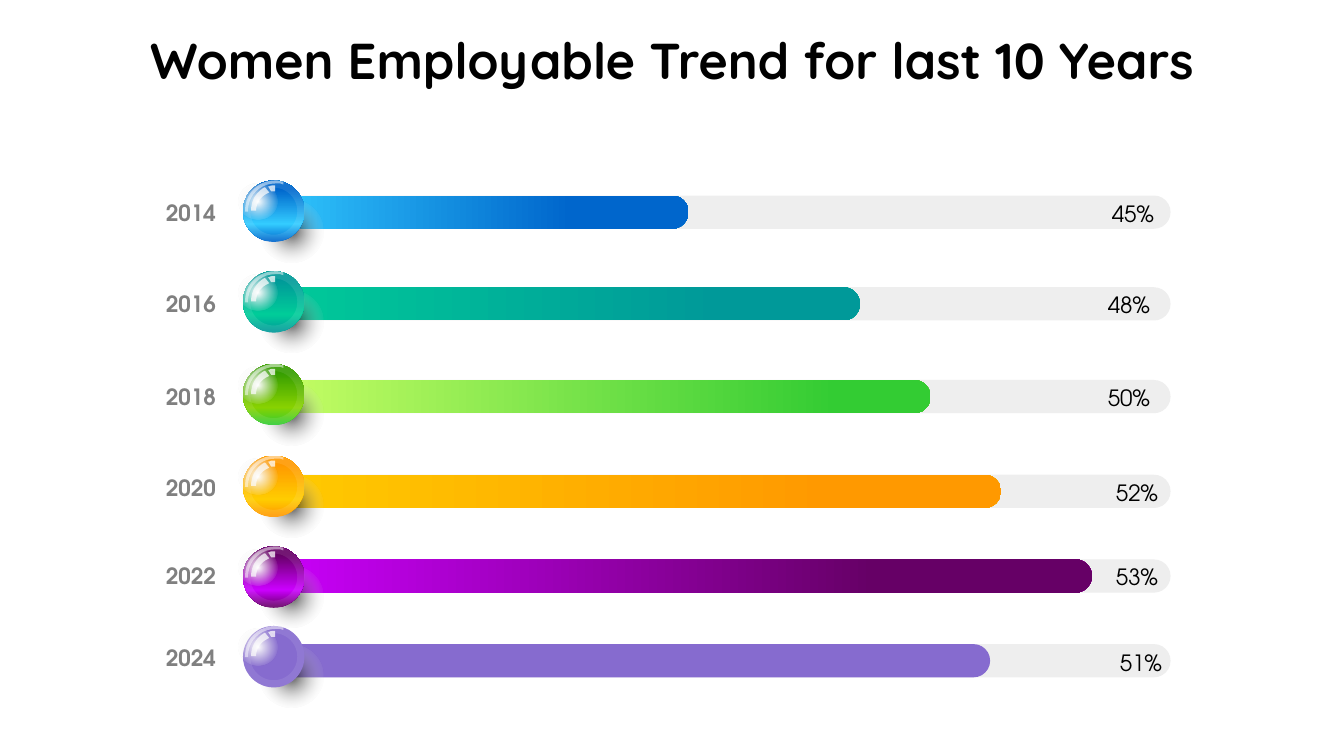
from collections import namedtuple

from lxml import etree
from pptx import Presentation
from pptx.dml.color import RGBColor
from pptx.enum.shapes import MSO_SHAPE as Preset
from pptx.enum.text import MSO_AUTO_SIZE as AutoSize, PP_ALIGN as Align
from pptx.oxml.ns import qn
from pptx.util import Inches, Pt

Year = namedtuple(
    "Year", "name share bar_width bar_top ball_top name_top share_left share_top bar_fill ball_fill"
)
Gradient = namedtuple("Gradient", "stops angle")


def horizontal(start, end, stop):
    return Gradient([(0, start, 100), (stop, end, 100)], 0)


def glossy(low, middle, high):
    return Gradient([(1, low, 100), (29, middle, 100), (86, high, 100)], 270)


def radial(color, alpha):
    return Gradient([(0, color, alpha), (77, "EEEEEE", 0)], None)


YEARS = [
    Year("2014", "45%", 4.3, 1.94, 1.79, 1.93, 10.93, 1.94,
         horizontal("33CCFF", "0066CC", 73), glossy("0066CC", "33CCFF", "0066CC")),
    Year("2016", "48%", 6, 2.85, 2.69, 2.83, 10.89, 2.84,
         horizontal("00CC99", "009999", 77), glossy("009999", "00CC99", "009999")),
    Year("2018", "50%", 6.7, 3.77, 3.61, 3.75, 10.89, 3.76,
         horizontal("CCFF66", "33CC33", 86), glossy("33CC33", "88D201", "359D01")),
    Year("2020", "52%", 7.4, 4.71, 4.52, 4.65, 10.97, 4.7,
         horizontal("FFCC00", "FF9900", 77), glossy("FF9900", "FFCC00", "FF9900")),
    Year("2022", "53%", 8.3, 5.55, 5.42, 5.53, 10.97, 5.54,
         horizontal("CC00FF", "660066", 74), glossy("660066", "CC00FF", "660066")),
    Year("2024", "51%", 7.29, 6.39, 6.21, 6.34, 11.01, 6.39, "866BCF", "866BCF"),
]

BALL_LEFT = 2.41
BALL_SIZE = 0.61
TICK = [(0.32, 0.05), (0.32, 0.11), (0.31, 0.11), (0.28, 0.11), (0.25, 0.06),
        (0.26, 0.06), (0.27, 0.05, 0.29, 0.05, 0.3, 0.05)]
WINDOW = [(0.22, 0.07), (0.26, 0.12), (0.24, 0.13), (0.18, 0.16, 0.13, 0.22, 0.13, 0.3),
          (0.08, 0.3), (0.08, 0.2, 0.13, 0.12, 0.21, 0.07)]
RIM = [(0.32, 0), (0.34, 0, 0.36, 0, 0.38, 0.01), (0.4, 0.01), (0.4, 0.04), (0.37, 0.03),
       (0.35, 0.03, 0.33, 0.03, 0.32, 0.03), (0.17, 0.03, 0.05, 0.15, 0.05, 0.3),
       (0.05, 0.31), (0.02, 0.31), (0.02, 0.3), (0.02, 0.13, 0.15, 0, 0.32, 0)]


def rgb(color):
    return RGBColor.from_string(color)


def flatten(outline, steps=10):
    points = []
    for segment in outline:
        if len(segment) == 2:
            points.append(segment)
            continue
        controls = [points[-1], segment[:2], segment[2:4], segment[4:]]
        for step in range(1, steps + 1):
            t = step / steps
            weights = ((1 - t) ** 3, 3 * t * (1 - t) ** 2, 3 * t * t * (1 - t), t ** 3)
            points.append(tuple(
                sum(weight * control[axis] for weight, control in zip(weights, controls))
                for axis in (0, 1)
            ))
    return points


class TrendSlide:
    title_font = "Quicksand"
    body_font = "TeX Gyre Adventor"
    track_color = "EEEEEE"
    name_color = "808080"

    def __init__(self, presentation):
        self.slide = presentation.slides.add_slide(presentation.slide_layouts[6])
        self.shapes = self.slide.shapes

    def text(self, text, left, top, width, height, font=body_font, size=16,
             color="000000", bold=False, align=Align.LEFT):
        box = self.shapes.add_textbox(Inches(left), Inches(top), Inches(width), Inches(height))
        box.text_frame.word_wrap = True
        box.text_frame.auto_size = AutoSize.SHAPE_TO_FIT_TEXT
        paragraph = box.text_frame.paragraphs[0]
        paragraph.alignment = align
        run = paragraph.add_run()
        run.text = text
        run.font.name = font
        run.font.size = Pt(size)
        run.font.bold = bold
        run.font.color.rgb = rgb(color)

    def paint(self, shape, fill, alpha=100):
        shape.shadow.inherit = False
        shape.line.fill.background()
        if isinstance(fill, Gradient):
            self.paint_gradient(shape, fill)
            return
        shape.fill.solid()
        shape.fill.fore_color.rgb = rgb(fill)
        if alpha < 100:
            color = shape.fill._xPr.find(qn("a:solidFill"))[0]
            etree.SubElement(color, qn("a:alpha"), val=str(alpha * 1000))

    def paint_gradient(self, shape, gradient):
        shape.fill.gradient()
        element = shape.fill._xPr.find(qn("a:gradFill"))
        for child in list(element):
            element.remove(child)
        stops = etree.SubElement(element, qn("a:gsLst"))
        for position, color, alpha in gradient.stops:
            stop = etree.SubElement(stops, qn("a:gs"), pos=str(position * 1000))
            value = etree.SubElement(stop, qn("a:srgbClr"), val=color)
            if alpha < 100:
                etree.SubElement(value, qn("a:alpha"), val=str(alpha * 1000))
        if gradient.angle is None:
            circle = etree.SubElement(element, qn("a:path"), path="circle")
            etree.SubElement(circle, qn("a:fillToRect"), l="50000", t="50000", r="50000", b="50000")
        else:
            etree.SubElement(element, qn("a:lin"), ang=str(gradient.angle * 60000), scaled="0")

    def preset(self, kind, left, top, width, height, fill, alpha=100, adjustment=None):
        shape = self.shapes.add_shape(
            kind, Inches(left), Inches(top), Inches(width), Inches(height)
        )
        if adjustment is not None:
            shape.adjustments[0] = adjustment
        self.paint(shape, fill, alpha)

    def glint(self, outline, top, alpha):
        points = [(Inches(BALL_LEFT + x), Inches(top + y)) for x, y in flatten(outline)]
        builder = self.shapes.build_freeform(*points[0], scale=1.0)
        builder.add_line_segments(points[1:], close=True)
        self.paint(builder.convert_to_shape(), "FFFFFF", alpha)

    def bar(self, top, width, fill):
        self.preset(Preset.ROUNDED_RECTANGLE, 2.53, top, width, 0.33, fill, adjustment=0.5)

    def ball(self, top, fill):
        self.shapes = self.slide.shapes.add_group_shape().shapes
        frame = (BALL_LEFT, top, BALL_SIZE, BALL_SIZE)
        self.preset(Preset.OVAL, 2.57, top + 0.19, 0.64, 0.62, radial("000000", 69))
        self.preset(Preset.OVAL, *frame, fill)
        self.preset(Preset.DONUT, *frame, "FFFFFF", alpha=9, adjustment=0.117)
        self.glint(TICK, top, 75)
        self.glint(WINDOW, top, 75)
        self.preset(Preset.OVAL, 2.37, top + 0.03, 0.38, 0.36, radial("FFFFFF", 100))
        self.glint(RIM, top, 50)
        self.shapes = self.slide.shapes

    def row(self, year):
        self.bar(year.bar_top, 9.08, self.track_color)
        self.bar(year.bar_top, year.bar_width, year.bar_fill)
        self.ball(year.ball_top, year.ball_fill)
        self.text(year.name, 0.23, year.name_top, 2.01, 0.37,
                  color=self.name_color, bold=True, align=Align.RIGHT)
        self.text(year.share, year.share_left, year.share_top, 0.87, 0.37)


def main():
    presentation = Presentation()
    presentation.slide_width = Inches(13.33)
    presentation.slide_height = Inches(7.5)
    trend = TrendSlide(presentation)
    trend.text("Women Employable Trend for last 10 Years", 0, 0.24, 13.33, 0.71,
               font=trend.title_font, size=36, bold=True, align=Align.CENTER)
    for year in YEARS:
        trend.row(year)
    presentation.save("out.pptx")


if __name__ == "__main__":
    main()
